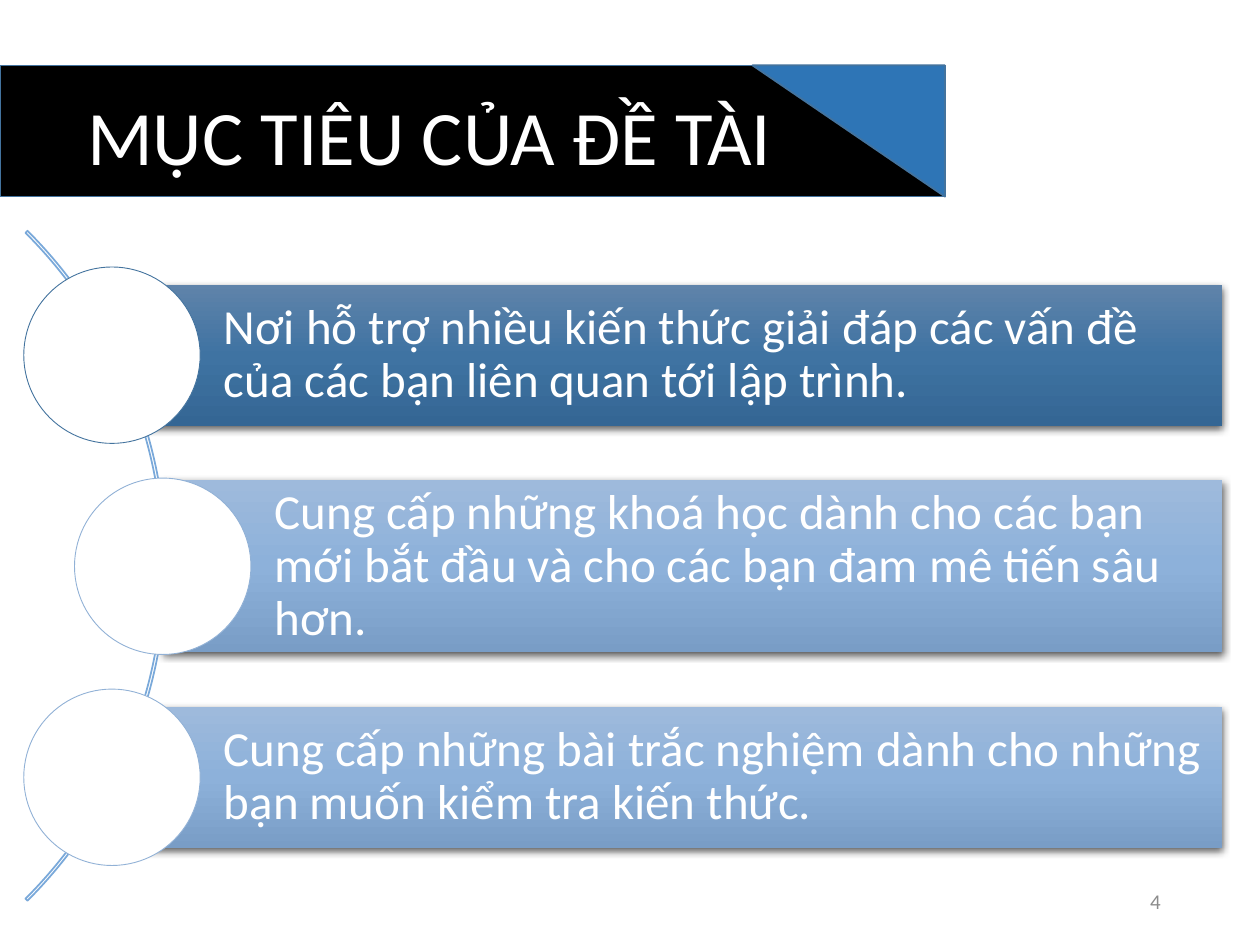
"""Build the project goals slide: a title banner and three goals along an arc."""
from dataclasses import dataclass

from pptx import Presentation
from pptx import util as u
from pptx.dml.color import RGBColor
from pptx.enum import shapes, text
from pptx.oxml import parse_xml
from pptx.oxml.ns import nsdecls, qn

COLORS = {
    "white": "FFFFFF",
    "black": "000000",
    "blue": "2E75B6",
    "outline": "43739E",
    "pale_outline": "91B1D6",
    "arc": "7AA9DA",
    "number": "8C8C8C",
}
DARK_GRADIENT = ("5F83AA", "3F73A2", "346694")
LIGHT_GRADIENT = ("9EBADC", "8DB1DA", "799DC6")
FONT = "Calibri"
BAR_RIGHT = 698.4
FIRST_CENTER = 203
PITCH = 120.6
DIAMETER = 100.8


@dataclass
class Goal:
    """A goal bar with its circle."""
    wording: str
    left: float
    height: float
    gradient: tuple
    outline: str


GOALS = [
    Goal("Nơi hỗ trợ nhiều kiến thức giải đáp các vấn đề của các bạn liên quan tới lập trình.",
         64, 80.6, DARK_GRADIENT, "outline"),
    Goal("Cung cấp những khoá học dành cho các bạn mới bắt đầu và cho các bạn đam mê tiến sâu hơn.",
         93, 98.6, LIGHT_GRADIENT, "pale_outline"),
    Goal("Cung cấp những bài trắc nghiệm dành cho những bạn muốn kiểm tra kiến thức.",
         64, 80.6, LIGHT_GRADIENT, "pale_outline"),
]


def color(name: str) -> RGBColor:
    """Look up a named colour."""
    return RGBColor.from_string(COLORS[name])


def add_shape(slide, kind, left: float, top: float, width: float, height: float,
              fill: str = "", line: str = "", weight: float = 1):
    """Add a flat preset shape, with fill and line where named."""
    shape = slide.shapes.add_shape(kind, u.Pt(left), u.Pt(top), u.Pt(width), u.Pt(height))
    shape.shadow.inherit = False
    if fill:
        shape.fill.solid()
        shape.fill.fore_color.rgb = color(fill)
    else:
        shape.fill.background()
    if line:
        shape.line.color.rgb = color(line)
        shape.line.width = u.Pt(weight)
    else:
        shape.line.fill.background()
    return shape


def write(shape, wording: str, size: float, name: str, alignment, anchor) -> None:
    """Set one formatted paragraph."""
    frame = shape.text_frame
    frame.text = wording
    frame.vertical_anchor = anchor
    paragraph = frame.paragraphs[0]
    paragraph.alignment = alignment
    font = paragraph.runs[0].font
    font.name, font.size = FONT, u.Pt(size)
    font.color.rgb = color(name)


def add_gradient(shape, stops: tuple) -> None:
    """Fill from top to bottom with evenly spaced colours."""
    shape.fill.gradient()
    shape.fill.gradient_angle = 270
    stop_list = shape.element.spPr.find(".//" + qn("a:gsLst"))
    for stop in list(stop_list):
        stop_list.remove(stop)
    for index, value in enumerate(stops):
        position = index * 100000 // (len(stops) - 1)
        stop_list.append(parse_xml(
            f'<a:gs {nsdecls("a")} pos="{position}"><a:srgbClr val="{value}"/></a:gs>'))


def add_shadow(shape) -> None:
    """Cast a soft shadow downwards."""
    shape.element.spPr.find(qn("a:effectLst")).append(parse_xml(
        f'<a:outerShdw {nsdecls("a")} blurRad="{u.Pt(4.5)}" dist="{u.Pt(1.5)}" dir="5400000"'
        f' algn="ctr" rotWithShape="0"><a:srgbClr val="{COLORS["black"]}">'
        '<a:alpha val="63000"/></a:srgbClr></a:outerShdw>'))


def add_banner(slide) -> None:
    """Draw the banner and lay the title over it."""
    add_shape(slide, shapes.MSO_SHAPE.RECTANGLE, 0, 37.4, 540, 75, "black", "outline")
    corner = add_shape(slide, shapes.MSO_SHAPE.RIGHT_TRIANGLE, 430, 37.4, 110, 75, "blue", "outline")
    transform = corner.element.spPr.find(qn("a:xfrm"))
    transform.set("flipH", "1")
    transform.set("flipV", "1")
    title = slide.shapes.title
    title.left, title.top, title.width, title.height = (u.Pt(n) for n in (40.3, 46.8, 410.4, 60.5))
    write(title, "MỤC TIÊU CỦA ĐỀ TÀI", 44, "white", text.PP_ALIGN.CENTER, text.MSO_ANCHOR.TOP)
    title.text_frame.word_wrap = False
    title.text_frame.auto_size = text.MSO_AUTO_SIZE.SHAPE_TO_FIT_TEXT
    corner.element.addnext(title.element)


def add_goal(slide, goal: Goal, center: float) -> None:
    """Draw a goal bar and the circle centred on its left end."""
    bar = add_shape(slide, shapes.MSO_SHAPE.RECTANGLE, goal.left, center - goal.height / 2,
                    BAR_RIGHT - goal.left, goal.height)
    add_gradient(bar, goal.gradient)
    add_shadow(bar)
    write(bar, goal.wording, 28, "white", text.PP_ALIGN.LEFT, text.MSO_ANCHOR.MIDDLE)
    frame = bar.text_frame
    frame.word_wrap = True
    frame.margin_left = u.Pt(64)
    frame.margin_top = frame.margin_right = frame.margin_bottom = u.Pt(5.6)
    frame.paragraphs[0].line_spacing = 0.9
    add_shape(slide, shapes.MSO_SHAPE.OVAL, goal.left - DIAMETER / 2, center - DIAMETER / 2,
              DIAMETER, DIAMETER, "white", goal.outline, 0.5)


def main() -> None:
    """Build and save the slide."""
    presentation = Presentation()
    presentation.slide_width, presentation.slide_height = u.Pt(720), u.Pt(540)
    slide = presentation.slides.add_slide(presentation.slide_layouts[5])
    add_banner(slide)
    number = slide.shapes.add_textbox(u.Pt(508.3), u.Pt(500.4), u.Pt(162), u.Pt(28.8))
    write(number, "4", 12, "number", text.PP_ALIGN.RIGHT, text.MSO_ANCHOR.MIDDLE)
    number.text_frame.word_wrap = True
    arc = add_shape(slide, shapes.MSO_SHAPE.BLOCK_ARC, -446.4, 52.6, 541.4, 541.4, line="arc")
    for index, value in enumerate((189, 27, 0.003)):
        arc.adjustments[index] = value
    for index, goal in enumerate(GOALS):
        add_goal(slide, goal, FIRST_CENTER + index * PITCH)
    presentation.save("out.pptx")


if __name__ == "__main__":
    main()
